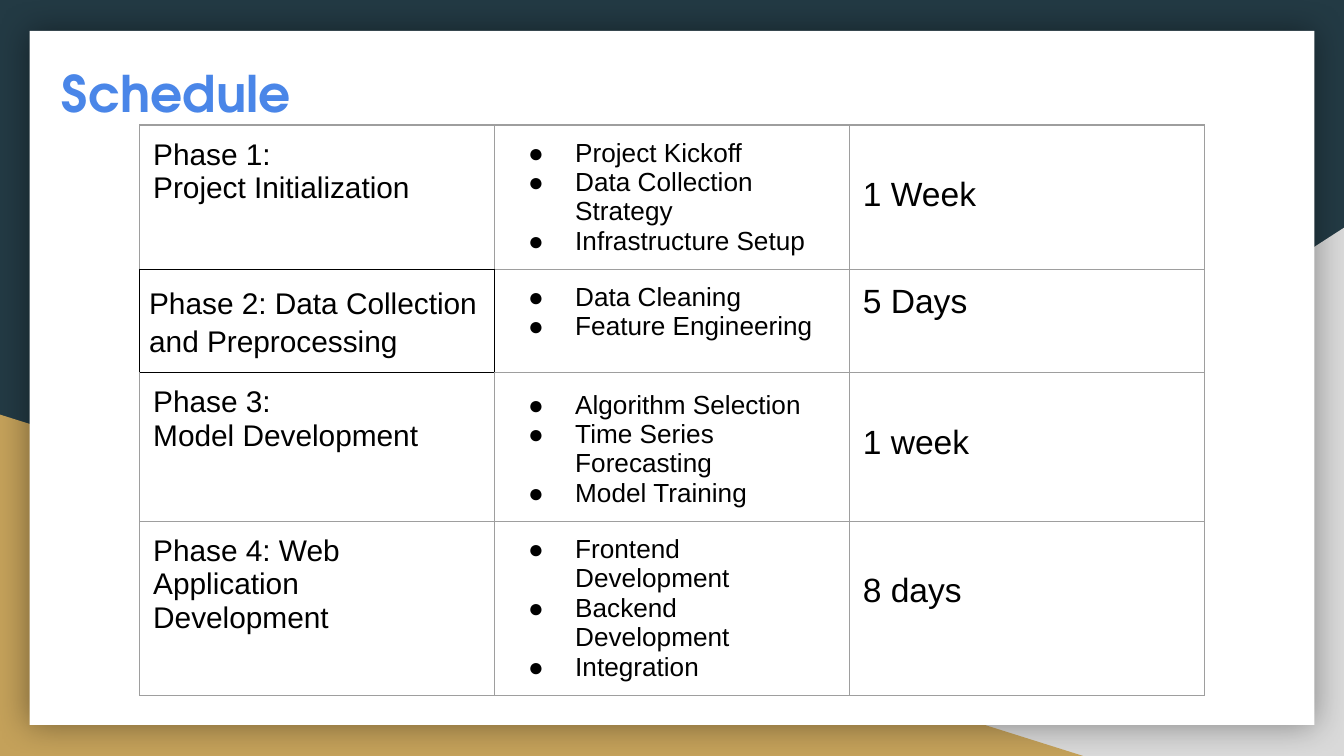
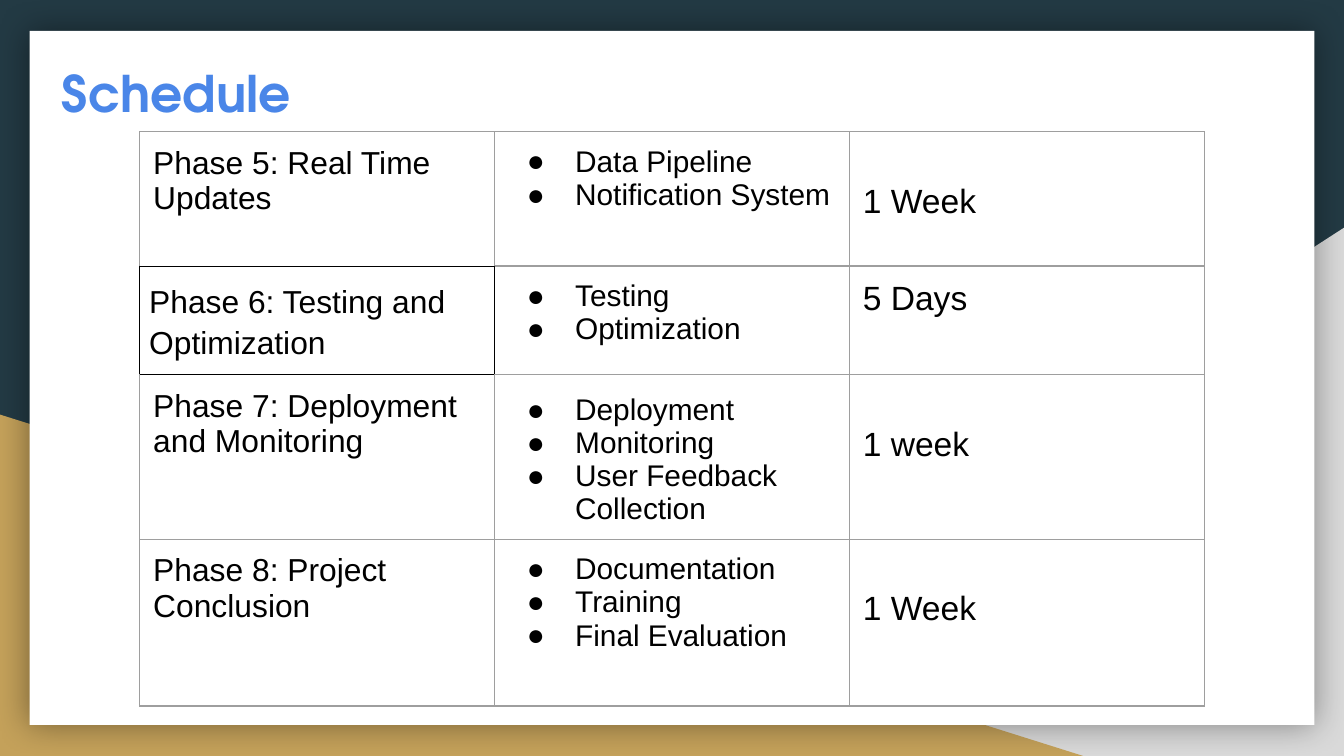
"""Build two schedule slides that list project phases, tasks and durations."""
from lxml import etree
from pptx import Presentation
from pptx.dml.color import RGBColor
from pptx.enum.shapes import MSO_SHAPE
from pptx.enum.text import MSO_ANCHOR, MSO_AUTO_SIZE, PP_ALIGN
from pptx.oxml.ns import qn
from pptx.util import Inches, Pt

TRIANGLE, RECTANGLE = MSO_SHAPE.RIGHT_TRIANGLE, MSO_SHAPE.RECTANGLE
TOP, LEFT, NO_FIT = MSO_ANCHOR.TOP, PP_ALIGN.LEFT, MSO_AUTO_SIZE.NONE

NAVY = RGBColor(0x23, 0x3A, 0x44)
SILVER = RGBColor(0xD9, 0xD9, 0xD9)
GOLD = RGBColor(0xC4, 0xA1, 0x5A)
WHITE = RGBColor(0xFF, 0xFF, 0xFF)
BLACK = RGBColor(0, 0, 0)
BLUE = RGBColor(0x4A, 0x86, 0xE8)
GREY = RGBColor(0x9E, 0x9E, 0x9E)
TITLE_FONT, BODY_FONT = "TeX Gyre Adventor", "Arial"

WIDTH = 10
HEIGHT = WIDTH * 9 / 16
CARD_LEFT, CARD_TOP = 0.22, 0.23
TABLE_LEFT, COLUMN_WIDTH = 1.04, 2.64
ROW_HEIGHTS = (1, 0.65, 1.04, 1.24)
BOXED_ROW, AIRY_ROW = 1, 2
PADDING, BOXED_PADDING, LOWERED_PADDING = 0.1, 0.07, 0.38
AIRY_SPACING = 1.15
DURATION_SIZE = 18

SLIDES = [
    {
        "title": "Schedule", "title_size": (3, 0.57), "table_top": 0.93,
        "phase_size": 16, "task_size": 14, "hanging": 0.35,
        "rows": [
            (["Phase 1:", "Project Initialization"],
             ["Project Kickoff", "Data Collection Strategy", "Infrastructure Setup"], "1 Week"),
            (["Phase 2: Data Collection and Preprocessing"],
             ["Data Cleaning", "Feature Engineering"], "5 Days"),
            (["Phase 3:", "Model Development"],
             ["Algorithm Selection", "Time Series Forecasting", "Model Training"], "1 week"),
            (["Phase 4: Web Application Development"],
             ["Frontend Development", "Backend Development", "Integration"], "8 days"),
        ],
    },
    {
        "title": "Schedule", "title_size": (2.77, 0.62), "table_top": 0.98,
        "phase_size": 17, "task_size": 16, "hanging": 0.36,
        "rows": [
            (["Phase 5: Real Time Updates"],
             ["Data Pipeline", "Notification System"], "1 Week"),
            (["Phase 6: Testing and Optimization"],
             ["Testing", "Optimization"], "5 Days"),
            (["Phase 7: Deployment and Monitoring"],
             ["Deployment", "Monitoring", "User Feedback Collection"], "1 week"),
            (["Phase 8: Project Conclusion"],
             ["Documentation", "Training", "Final Evaluation"], "1 Week"),
        ],
    },
]


def add_child(parent, tag, **attributes):
    child = etree.SubElement(parent, qn(tag))
    for name, value in attributes.items():
        child.set(name, str(value))
    return child


def add_panel(page, kind, color, left, top, width, height):
    panel = page.shapes.add_shape(kind, *map(Inches, (left, top, width, height)))
    panel.shadow.inherit = False
    panel.fill.solid()
    panel.fill.fore_color.rgb = color
    panel.line.fill.background()
    return panel


def decorate_layout(layout, page):
    """Draw the shared backdrop and place it behind the layout's placeholders."""
    layout.background.fill.solid()
    layout.background.fill.fore_color.rgb = NAVY
    silver = add_panel(page, TRIANGLE, SILVER, WIDTH - 6.08, HEIGHT - 3.93, 6.08, 3.93)
    silver.element.spPr.xfrm.set("flipH", "1")
    gold = add_panel(page, TRIANGLE, GOLD, 0, HEIGHT - 2.54, 8.06, 2.54)
    card = add_panel(page, RECTANGLE, WHITE, CARD_LEFT, CARD_TOP,
                     WIDTH - 2 * CARD_LEFT, HEIGHT - 2 * CARD_TOP)
    effects = card.element.spPr.find(qn("a:effectLst"))
    glow = add_child(effects, "a:outerShdw", blurRad=Pt(18), dist=0, dir=0, algn="ctr")
    add_child(add_child(glow, "a:srgbClr", val=BLACK), "a:alpha", val=40000)
    for depth, panel in enumerate((silver, gold, card), start=2):
        layout.shapes.element.insert(depth, panel.element)


def write(para, text, size, font, color, bold=False):
    span = para.add_run()
    span.text = text
    span.font.size, span.font.name, span.font.bold = Pt(size), font, bold
    span.font.color.rgb = color


def add_title(page, text, size):
    title = page.shapes.title
    title.left, title.top = Inches(0.36), Inches(0.36)
    title.width, title.height = map(Inches, size)
    frame = title.text_frame
    frame.auto_size, frame.vertical_anchor, frame.word_wrap = NO_FIT, TOP, True
    frame.margin_left = frame.margin_right = Inches(PADDING)
    frame.margin_top = frame.margin_bottom = Inches(PADDING)
    frame.paragraphs[0].alignment = LEFT
    write(frame.paragraphs[0], text, 27, TITLE_FONT, BLUE, bold=True)


def add_bullet(para, hanging):
    properties = para._p.get_or_add_pPr()
    properties.set("marL", str(Inches(0.5)))
    properties.set("indent", str(-Inches(hanging)))
    add_child(add_child(properties, "a:buClr"), "a:srgbClr", val=BLACK)
    add_child(properties, "a:buFont", typeface=BODY_FONT)
    add_child(properties, "a:buChar", char="●")


def set_borders(cell, row, column):
    boxed = (row, column) == (BOXED_ROW, 0)
    dark_sides = {
        "L": boxed or (row, column) == (BOXED_ROW, 1),
        "R": boxed,
        "T": boxed or (row, column) == (BOXED_ROW + 1, 0),
        "B": boxed or (row, column) == (BOXED_ROW - 1, 0),
    }
    properties = cell._tc.get_or_add_tcPr()
    for position, (side, dark) in enumerate(dark_sides.items()):
        color, weight = (BLACK, 0.56) if dark else (GREY, 0.75)
        border = add_child(properties, f"a:ln{side}", w=Pt(weight))
        add_child(add_child(border, "a:solidFill"), "a:srgbClr", val=color)
        properties.insert(position, border)


def fill_cell(cell, row, column, lines, size, hanging):
    boxed = row == BOXED_ROW
    side = BOXED_PADDING if boxed and column == 0 else PADDING
    top = LOWERED_PADDING if column == 2 and not boxed else PADDING
    cell.margin_left = cell.margin_right = Inches(side)
    cell.margin_top, cell.margin_bottom = Inches(top), Inches(PADDING)
    cell.vertical_anchor = TOP
    cell.fill.background()
    set_borders(cell, row, column)
    frame = cell.text_frame
    for index, line in enumerate(lines):
        para = frame.add_paragraph() if index else frame.paragraphs[0]
        if column == 1:
            add_bullet(para, hanging)
        if index == 0 and (row, column) in ((BOXED_ROW, 0), (AIRY_ROW, 1)):
            para.line_spacing = AIRY_SPACING
        write(para, line, size, BODY_FONT, BLACK)


def add_schedule(page, content):
    rows = content["rows"]
    sizes = (content["phase_size"], content["task_size"], DURATION_SIZE)
    table = page.shapes.add_table(
        len(rows), len(sizes), Inches(TABLE_LEFT), Inches(content["table_top"]),
        Inches(COLUMN_WIDTH * len(sizes)), Inches(sum(ROW_HEIGHTS))).table
    table.first_row = table.horz_banding = False
    for column in table.columns:
        column.width = Inches(COLUMN_WIDTH)
    for row, (phase, tasks, duration) in enumerate(rows):
        table.rows[row].height = Inches(ROW_HEIGHTS[row])
        for column, lines in enumerate((phase, tasks, [duration])):
            fill_cell(table.cell(row, column), row, column, lines,
                      sizes[column], content["hanging"])


def main():
    deck = Presentation()
    deck.slide_width, deck.slide_height = Inches(WIDTH), Inches(HEIGHT)
    layout = deck.slide_layouts.get_by_name("Title Only")
    pages = [deck.slides.add_slide(layout) for _ in SLIDES]
    decorate_layout(layout, pages[0])
    for page, content in zip(pages, SLIDES):
        add_title(page, content["title"], content["title_size"])
        add_schedule(page, content)
    deck.save("out.pptx")


if __name__ == "__main__":
    main()
